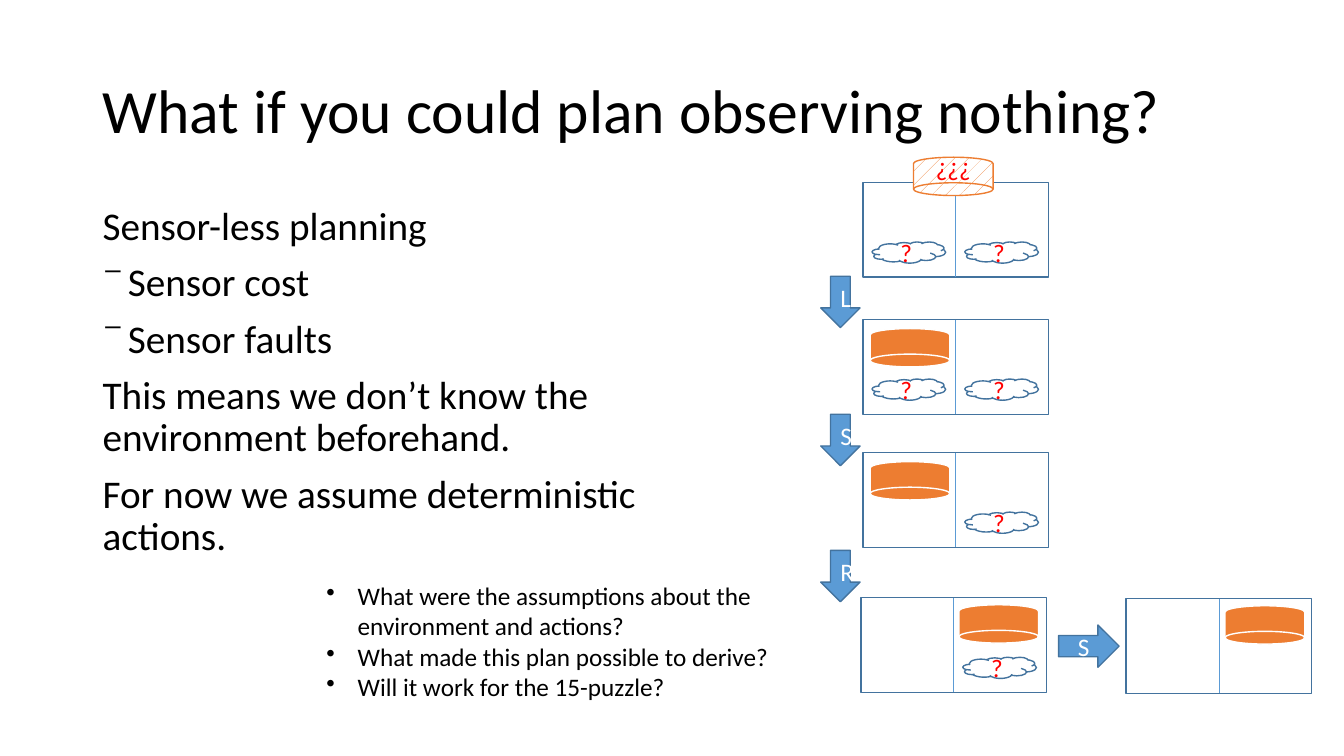
"""Build a slide on sensor-less planning in the vacuum world."""
from lxml.etree import SubElement
from pptx import Presentation
from pptx.dml.color import RGBColor
from pptx.enum.dml import MSO_PATTERN
from pptx.enum.shapes import MSO_CONNECTOR, MSO_SHAPE as SHAPE
from pptx.enum.text import MSO_ANCHOR as ANCHOR, MSO_AUTO_SIZE as AUTO_SIZE, PP_ALIGN as ALIGN
from pptx.oxml.ns import qn
from pptx.util import Inches, Pt

BLACK = RGBColor(0x00, 0x00, 0x00)
WHITE = RGBColor(0xFF, 0xFF, 0xFF)
RED = RGBColor(0xFF, 0x00, 0x00)
ORANGE = RGBColor(0xED, 0x7D, 0x31)
BLUE = RGBColor(0x5B, 0x9B, 0xD5)
DARK_BLUE = RGBColor(0x43, 0x73, 0x9E)

ROOM_WIDTH, ROOM_HEIGHT = 1.84, 0.94
CLOUD_LEFT, CLOUD_RIGHT = 0.09, 1.01
POINTS = [
    ("Sensor-less planning", None),
    ("Sensor cost", "⁻"),
    ("Sensor faults", "⁻"),
    ("This means we don’t know the environment beforehand.", None),
    ("For now we assume deterministic actions.", None),
]
QUESTIONS = [
    ("What were the assumptions about the \nenvironment and actions?", "•"),
    ("What made this plan possible to derive?", "•"),
    ("Will it work for the 15-puzzle?", "•"),
]
ROOMS = [
    (8.56, 1.81, (CLOUD_RIGHT, CLOUD_LEFT), None),
    (8.56, 3.17, (CLOUD_RIGHT, CLOUD_LEFT), (0.07, 0.09)),
    (8.56, 4.49, (CLOUD_RIGHT,), (0.07, 0.09)),
    (8.54, 5.93, (CLOUD_RIGHT,), (0.97, 0.07)),
    (11.17, 5.94, (), (0.98, 0.07)),
]
DOWN_ACTIONS = [("L", 2.74), ("S", 4.11), ("R", 5.46)]


def add_run(para, text, size, color):
    """Add one formatted run to a paragraph."""
    run = para.add_run()
    run.text = text
    run.font.size = Pt(size)
    run.font.name = "Calibri"
    run.font.color.rgb = color


def set_bullet(para, char, indent):
    """Give a paragraph a hanging bullet."""
    props = para._p.get_or_add_pPr()
    props.set("marL", str(Inches(indent)))
    props.set("indent", str(-Inches(indent)))
    SubElement(props, qn("a:buChar")).set("char", char)


def add_title(slide, text):
    """Place and fill the title placeholder."""
    title = slide.shapes.title
    title.left, title.top = Inches(0.92), Inches(0.4)
    title.width, title.height = Inches(11.5), Inches(1.45)
    frame = title.text_frame
    frame.vertical_anchor = ANCHOR.MIDDLE
    para = frame.paragraphs[0]
    para.alignment = ALIGN.LEFT
    para.line_spacing = 0.9
    add_run(para, text, 44, BLACK)


def add_list(slide, place, items, size, indent, spacing=1.0, before=0):
    """Add a text box of plain and bulleted paragraphs."""
    box = slide.shapes.add_textbox(*map(Inches, place))
    frame = box.text_frame
    frame.word_wrap = True
    for index, (text, bullet) in enumerate(items):
        para = frame.add_paragraph() if index else frame.paragraphs[0]
        if bullet:
            set_bullet(para, bullet, indent)
        para.line_spacing = spacing
        para.space_before = Pt(before if index else 0)
        for number, line in enumerate(text.split("\n")):
            if number:
                para.add_line_break()
            add_run(para, line, size, BLACK)
    return frame


def add_figure(slide, kind, place, line, fill=None, text="", color=WHITE):
    """Add a preset shape with an optional fill and centred label."""
    shape = slide.shapes.add_shape(kind, *map(Inches, place))
    shape.shadow.inherit = False
    shape.line.color.rgb = line
    shape.line.width = Pt(1)
    if fill is None:
        shape.fill.background()
    else:
        shape.fill.solid()
        shape.fill.fore_color.rgb = fill
    if text:
        shape.text_frame.vertical_anchor = ANCHOR.MIDDLE
        para = shape.text_frame.paragraphs[0]
        para.alignment = ALIGN.CENTER
        add_run(para, text, 18, color)
    return shape


def add_vacuum(slide, left, top, line=WHITE, text=""):
    """Add an upside-down disk that stands for the vacuum."""
    place = (left, top, 0.79, 0.38)
    disk = add_figure(slide, SHAPE.FLOWCHART_MAGNETIC_DISK, place, line, ORANGE, text, RED)
    disk._element.spPr.find(qn("a:xfrm")).set("flipV", "1")
    return disk


def add_room(slide, left, top, clouds, vacuum):
    """Add a two-cell room with its dirt clouds and vacuum."""
    room = add_figure(slide, SHAPE.RECTANGLE, (left, top, ROOM_WIDTH, ROOM_HEIGHT), DARK_BLUE)
    wall = slide.shapes.add_connector(MSO_CONNECTOR.STRAIGHT, 0, 0, 0, 0)
    wall.begin_connect(room, 0)
    wall.end_connect(room, 2)
    wall.line.color.rgb = BLUE
    wall.line.width = Pt(0.5)
    SubElement(wall._element.spPr, qn("a:effectLst"))
    for offset in clouds:
        place = (left + offset, top + 0.59, 0.73, 0.21)
        add_figure(slide, SHAPE.CLOUD, place, DARK_BLUE, text="?", color=RED)
    if vacuum:
        add_vacuum(slide, left + vacuum[0], top + vacuum[1])


def main():
    """Build and save the deck."""
    deck = Presentation()
    deck.slide_width, deck.slide_height = Inches(13.33), Inches(7.5)
    slide = deck.slides.add_slide(deck.slide_layouts[5])
    add_title(slide, "What if you could plan observing nothing?")
    add_list(slide, (0.92, 2, 5.67, 4.76), POINTS, 28, 0.25, 0.9, 10)
    for room in ROOMS:
        add_room(slide, *room)
    unknown = add_vacuum(slide, 9.06, 1.56, ORANGE, "???")
    unknown.fill.patterned()
    unknown.fill.pattern = MSO_PATTERN.PERCENT_5
    unknown.fill.fore_color.rgb = ORANGE
    unknown.fill.back_color.rgb = WHITE
    for action, top in DOWN_ACTIONS:
        add_figure(slide, SHAPE.DOWN_ARROW, (8.14, top, 0.39, 0.51), DARK_BLUE, BLUE, action)
    add_figure(slide, SHAPE.RIGHT_ARROW, (10.5, 6.2, 0.6, 0.42), DARK_BLUE, BLUE, "S")
    questions = add_list(slide, (3.14, 5.71, 4.64, 1.31), QUESTIONS, 18, 0.31)
    questions.word_wrap = False
    questions.auto_size = AUTO_SIZE.SHAPE_TO_FIT_TEXT
    deck.save("out.pptx")


if __name__ == "__main__":
    main()
